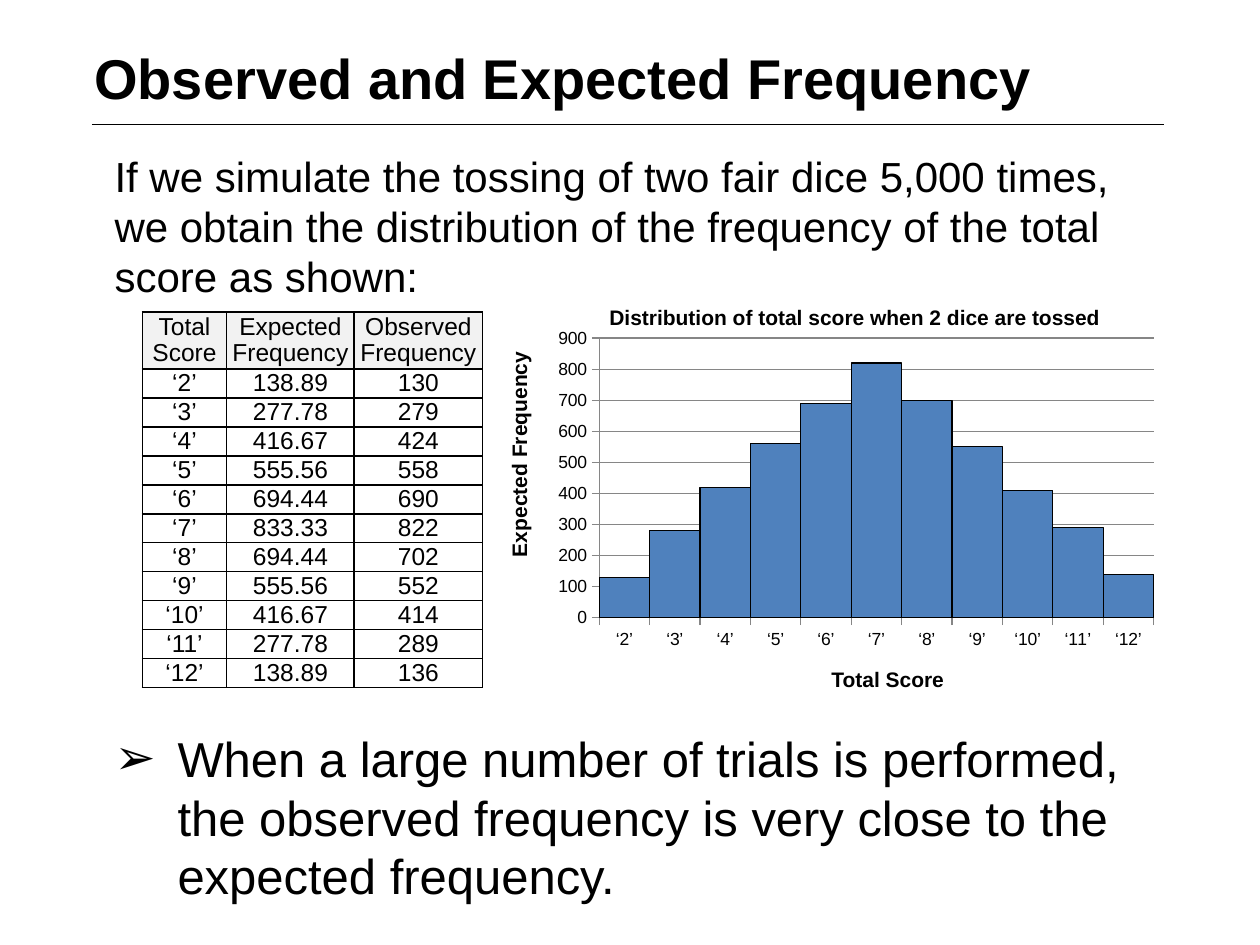
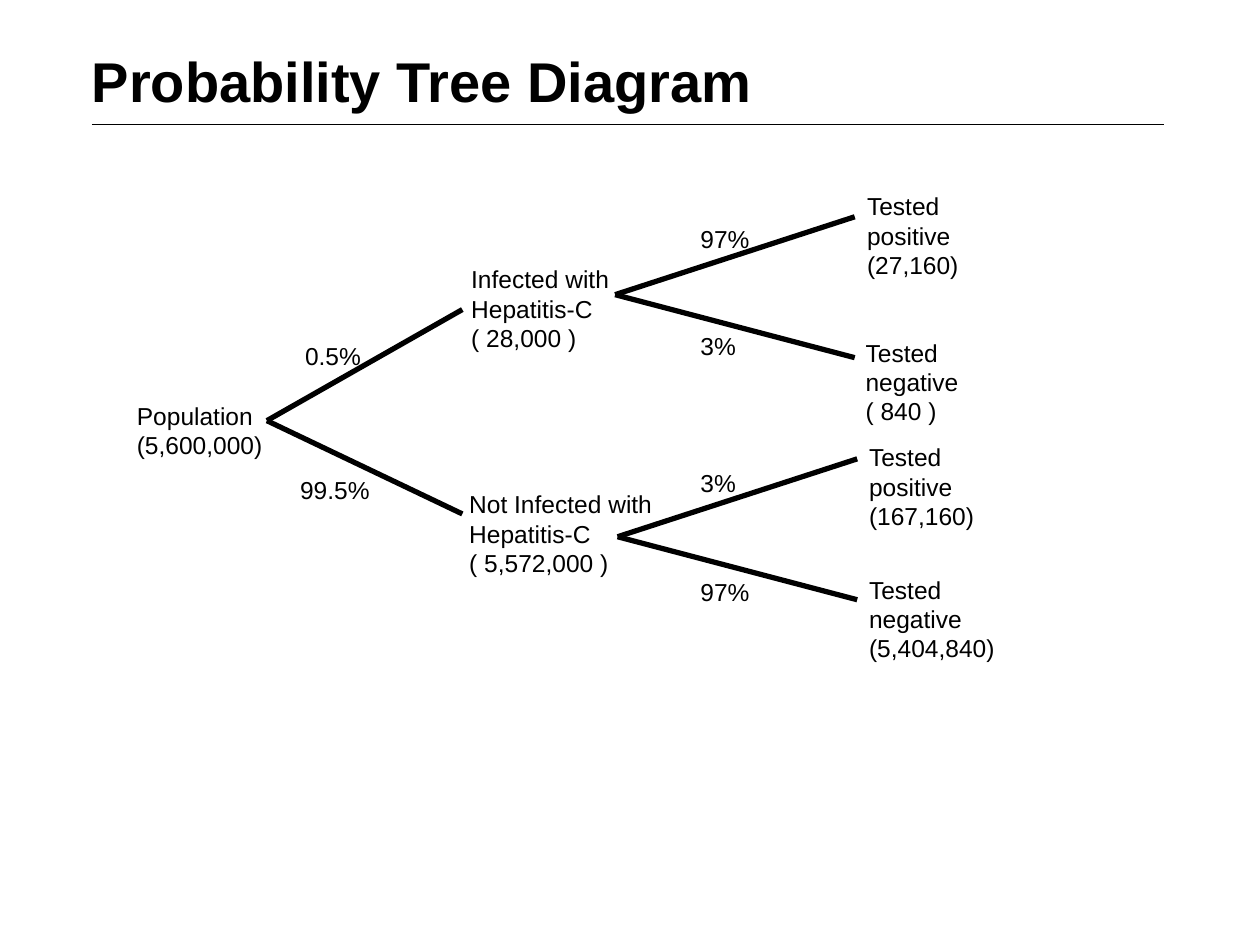
import pptx
import pptx.chart.data
import pptx.dml.color
import pptx.enum.chart
import pptx.enum.shapes
import pptx.enum.text
import pptx.oxml
import pptx.oxml.ns
import pptx.oxml.xmlchemy
import pptx.util

Cm, Pt = pptx.util.Cm, pptx.util.Pt
qn = pptx.oxml.ns.qn
OxmlElement = pptx.oxml.xmlchemy.OxmlElement

FONT = "Arial"
BLACK, HEADER_GREY, GRID_GREY, BAR_BLUE = "000000", "F2F2F2", "868686", "4F81BD"

TABLE_HEADER = ("Total Score", "Expected Frequency", "Observed Frequency")
SCORES = [f"‘{score}’" for score in range(2, 13)]
EXPECTED = ("138.89", "277.78", "416.67", "555.56", "694.44", "833.33",
            "694.44", "555.56", "416.67", "277.78", "138.89")
OBSERVED = (130, 279, 424, 558, 690, 822, 702, 552, 414, 289, 136)


def color(hex_string):
    return pptx.dml.color.RGBColor.from_string(hex_string)


def style_font(font, size, bold=False):
    font.name, font.size, font.bold = FONT, Pt(size), bold
    font.color.rgb = color(BLACK)


def add_run(paragraph, text, size, bold=False):
    run = paragraph.add_run()
    run.text = text
    style_font(run.font, size, bold)


def add_text(slide, box, lines, size, bold=False, wrap=True):
    """Add a text box with one paragraph per line; box is in centimetres."""
    shape = slide.shapes.add_textbox(*map(Cm, box))
    frame = shape.text_frame
    frame.word_wrap = wrap
    for index, line in enumerate(lines):
        paragraph = frame.add_paragraph() if index else frame.paragraphs[0]
        add_run(paragraph, line, size, bold)
    return shape


def add_line(slide, start, end, width):
    line = slide.shapes.add_connector(
        pptx.enum.shapes.MSO_CONNECTOR.STRAIGHT, *map(Cm, (*start, *end)))
    line.line.color.rgb = color(BLACK)
    line.line.width = Pt(width)
    line._element.spPr.append(OxmlElement("a:effectLst"))


def add_titled_slide(presentation, title, box):
    slide = presentation.slides.add_slide(presentation.slide_layouts[6])
    add_line(slide, (1.85, 2.51), (23.47, 2.51), 0.25)
    add_text(slide, box, [title], 32, bold=True)
    return slide


def indent(paragraph, left, first, bullet=None):
    """Set indents in centimetres and an optional bullet character."""
    properties = paragraph._p.get_or_add_pPr()
    properties.set("marL", str(Cm(left)))
    properties.set("indent", str(Cm(first)))
    if bullet:
        for tag, name, value in (("a:buFont", "typeface", FONT),
                                 ("a:buChar", "char", bullet)):
            mark = OxmlElement(tag)
            mark.set(name, value)
            properties.append(mark)


def add_explanation(slide, box):
    """Add the introduction and the conclusion, leaving room for the data."""
    shape = add_text(slide, box, [
        "If we simulate the tossing of two fair dice 5,000 times, we obtain the "
        "distribution of the frequency of the total score as shown:"], 24)
    introduction = shape.text_frame.paragraphs[0]
    indent(introduction, 0.97, 0)
    conclusion = shape.text_frame.add_paragraph()
    conclusion.space_before = Pt(244)
    add_run(conclusion, "When a large number of trials is performed, the observed "
            "frequency is very close to the expected frequency.", 28)
    indent(conclusion, 2.24, -1.27, "➢")


def add_borders(cell):
    properties = cell._tc.get_or_add_tcPr()
    for index, side in enumerate(("a:lnL", "a:lnR", "a:lnT", "a:lnB")):
        border = OxmlElement(side)
        border.set("w", str(Pt(1)))
        fill = OxmlElement("a:solidFill")
        shade = OxmlElement("a:srgbClr")
        shade.set("val", BLACK)
        fill.append(shade)
        border.append(fill)
        properties.insert(index, border)


def add_frequency_table(slide, left, top):
    widths = (1.7, 2.57, 2.59)
    rows = [TABLE_HEADER, *zip(SCORES, EXPECTED, map(str, OBSERVED))]
    heights = [1.1] + [0.58] * len(SCORES)
    table = slide.shapes.add_table(
        len(rows), len(widths), Cm(left), Cm(top),
        Cm(sum(widths)), Cm(sum(heights))).table
    table.first_row = table.horz_banding = False
    for column, width in zip(table.columns, widths):
        column.width = Cm(width)
    for row_index, (texts, height) in enumerate(zip(rows, heights)):
        table.rows[row_index].height = Cm(height)
        for cell, text in zip(table.rows[row_index].cells, texts):
            cell.margin_left = cell.margin_right = cell.margin_top = Cm(0.02)
            cell.margin_bottom = 0
            cell.vertical_anchor = pptx.enum.text.MSO_ANCHOR.MIDDLE
            paragraph = cell.text_frame.paragraphs[0]
            paragraph.alignment = pptx.enum.text.PP_ALIGN.CENTER
            paragraph.line_spacing = 0.95
            add_run(paragraph, text, 14)
            if row_index:
                cell.fill.background()
            else:
                cell.fill.solid()
                cell.fill.fore_color.rgb = color(HEADER_GREY)
            add_borders(cell)


def set_layout(parent, position, **settings):
    """Place a chart part by hand; position is the layout's child index."""
    layout = parent.find(qn("c:layout"))
    if layout is None:
        layout = OxmlElement("c:layout")
        parent.insert(position, layout)
    manual = OxmlElement("c:manualLayout")
    layout.append(manual)
    for name, value in settings.items():
        setting = OxmlElement(f"c:{name}")
        setting.set("val", str(value))
        manual.append(setting)


def add_frequency_chart(slide, left, top, width, height):
    data = pptx.chart.data.CategoryChartData()
    data.categories = SCORES
    data.add_series("Observed Frequency", [round(count, -1) for count in OBSERVED])
    chart = slide.shapes.add_chart(
        pptx.enum.chart.XL_CHART_TYPE.COLUMN_CLUSTERED,
        *map(Cm, (left, top, width, height)), data).chart
    style_font(chart.font, 10)
    chart.has_legend = False
    chart.has_title = True
    add_run(chart.chart_title.text_frame.paragraphs[0],
            "Distribution of total score when 2 dice are tossed", 12, bold=True)
    set_layout(chart.chart_title._element, 1,
               xMode="edge", yMode="edge", x=0.11, y=0.04)
    set_layout(chart._chartSpace.chart.plotArea, 0, layoutTarget="inner",
               xMode="edge", yMode="edge", x=0.1, y=0.14, w=0.88, h=0.74)

    plot = chart.plots[0]
    plot.gap_width = 0
    plot.vary_by_categories = False
    bars = plot.series[0].format
    bars.fill.solid()
    bars.fill.fore_color.rgb = color(BAR_BLUE)
    bars.line.color.rgb = color(BLACK)
    bars.line.width = Pt(0.75)

    value_axis = chart.value_axis
    value_axis.minimum_scale, value_axis.maximum_scale = 0, 900
    value_axis.major_unit = 100
    value_axis.has_major_gridlines = True
    grid = value_axis.major_gridlines
    for part in (value_axis, chart.category_axis, grid):
        part.format.line.color.rgb = color(GRID_GREY)
        part.format.line.width = Pt(0.75)
    for axis in (value_axis, chart.category_axis):
        axis.major_tick_mark = pptx.enum.chart.XL_TICK_MARK.OUTSIDE
        style_font(axis.tick_labels.font, 10)

    add_text(slide, (left + 5.7, top + 7.56, 2.82, 0.76),
             ["Total Score"], 12, bold=True, wrap=False)
    value_title = add_text(slide, (left - 2.7, top + 3, 4.7, 0.76),
                           ["Expected Frequency"], 12, bold=True, wrap=False)
    value_title.rotation = 270


def add_fork(slide, apex, branches):
    """Draw branches from the apex; each offset is relative to the apex."""
    def place(offset):
        return apex[0] + offset[0], apex[1] + offset[1]

    for tip, rate, rate_offset, outcome, outcome_offset in branches:
        add_line(slide, apex, place(tip), 3)
        add_text(slide, (*place(rate_offset), 2.1, 0.91), [rate], 14)
        add_text(slide, (*place(outcome_offset), 4.83, 2), outcome, 14)


def add_probability_tree(slide):
    add_text(slide, (2.51, 7.95, 3.07, 1.27), ["Population", "(5,600,000)"], 14)
    add_fork(slide, (5.38, 8.48), [
        ((3.94, -2.24), "0.5%", (0.52, -1.73),
         ("Infected with", "Hepatitis-C", "( 28,000 )"), (3.87, -3.28)),
        ((3.94, 1.88), "99.5%", (0.42, 0.97),
         ("Not Infected with", "Hepatitis-C", "( 5,572,000 )"), (3.83, 1.26))])
    positive_tip, negative_tip = (4.83, -1.57), (4.83, 1.27)
    add_fork(slide, (12.4, 5.94), [
        (positive_tip, "97%", (1.47, -1.55),
         ("Tested", "positive", "(27,160)"), (4.83, -2.21)),
        (negative_tip, "3%", (1.47, 0.61),
         ("Tested", "negative", "( 840 )"), (4.8, 0.74))])
    add_fork(slide, (12.45, 10.82), [
        (positive_tip, "3%", (1.42, -1.5),
         ("Tested", "positive", "(167,160)"), (4.82, -2.03)),
        (negative_tip, "97%", (1.42, 0.68),
         ("Tested", "negative", "(5,404,840)"), (4.82, 0.64))])


def main():
    presentation = pptx.Presentation()
    presentation.slide_width, presentation.slide_height = Cm(25.4), Cm(19.05)

    frequency = add_titled_slide(presentation, "Observed and Expected Frequency",
                                 (1.65, 0.76, 23.55, 3.18))
    add_explanation(frequency, (1.09, 2.9, 22.07, 15.39))
    add_frequency_table(frequency, 2.87, 6.29)
    add_frequency_chart(frequency, 10.81, 5.75, 12.7, 7.62)

    tree = add_titled_slide(presentation, "Probability Tree Diagram",
                            (1.6, 0.81, 20.27, 1.93))
    add_probability_tree(tree)
    presentation.save("out.pptx")


if __name__ == "__main__":
    main()
